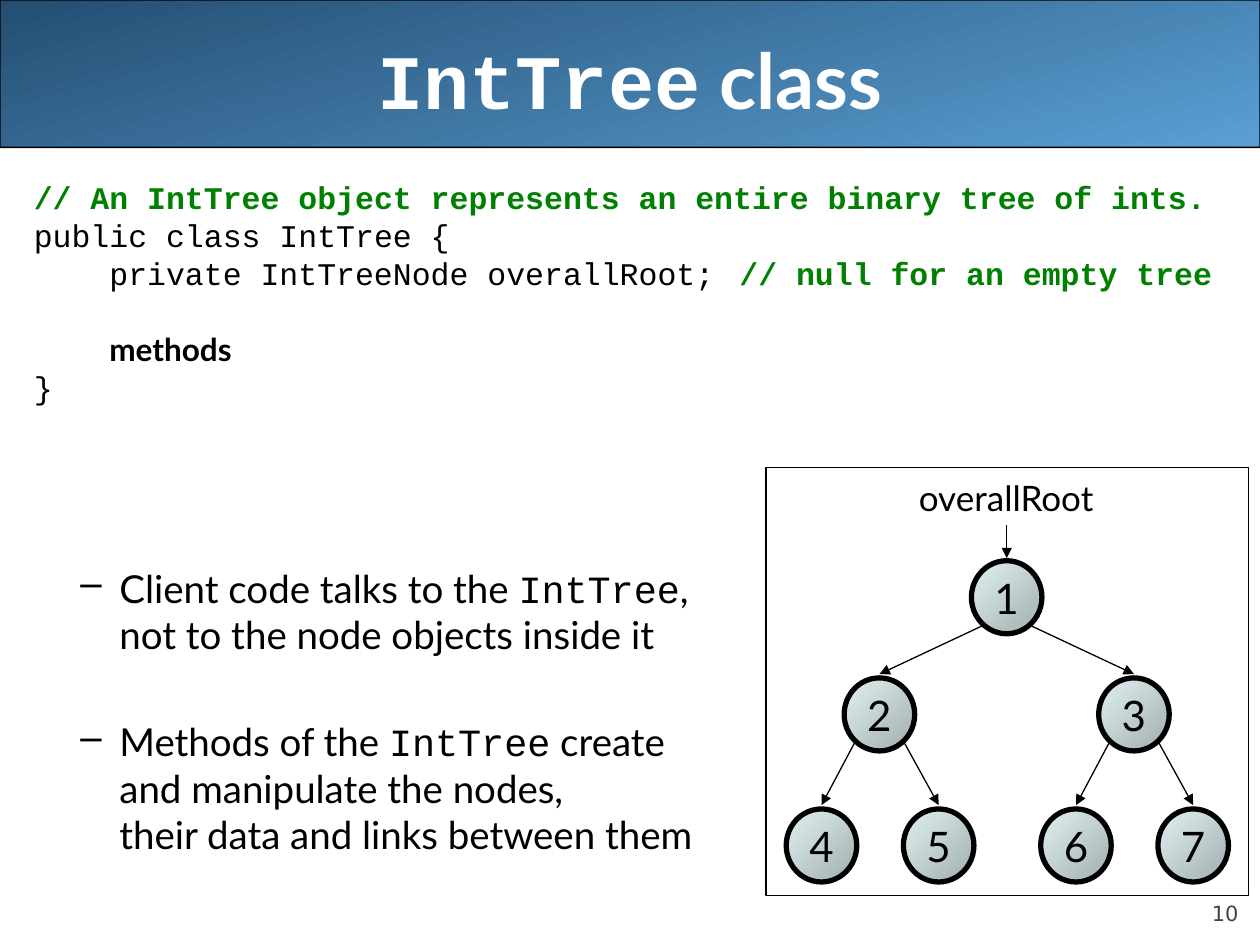
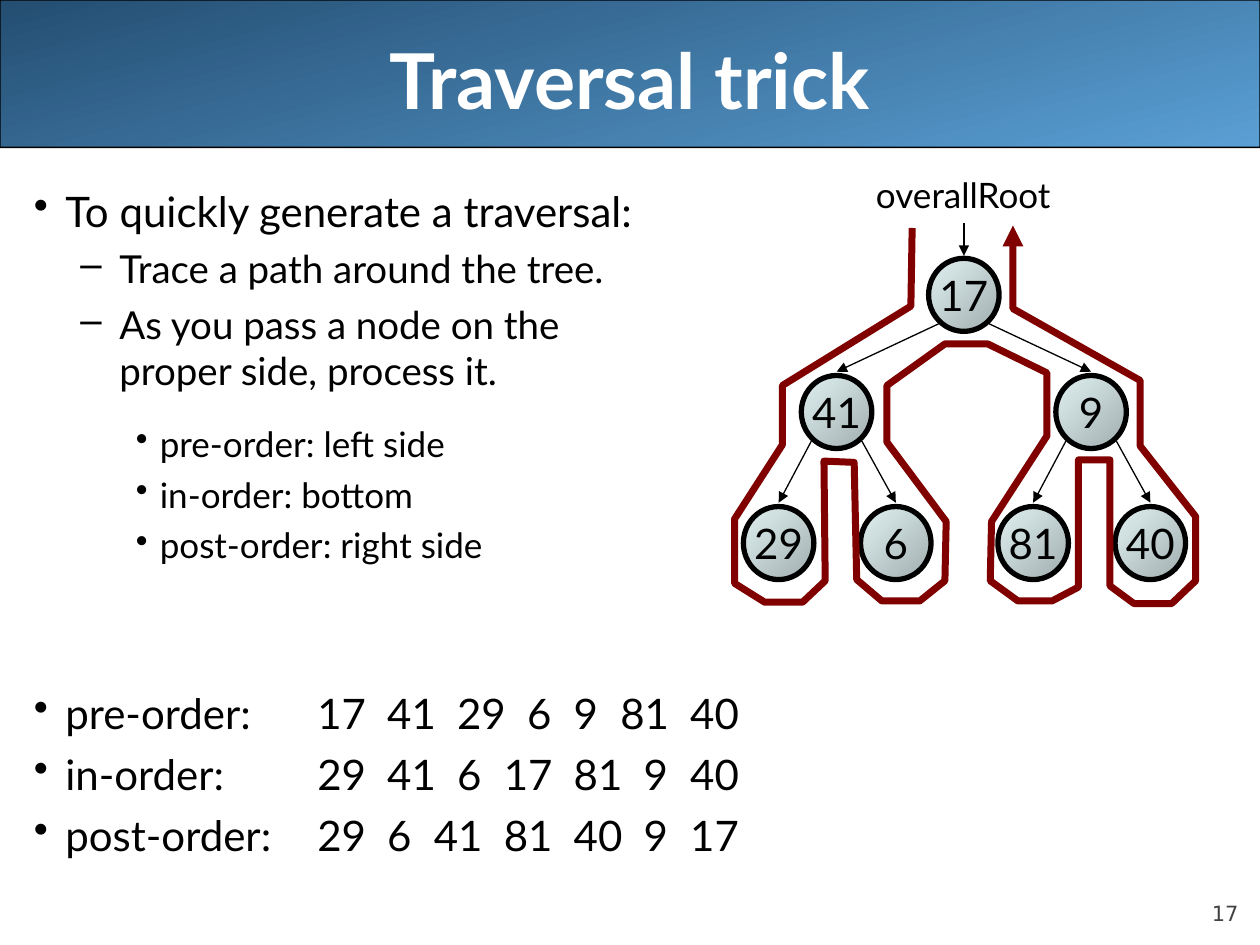
from dataclasses import dataclass
from itertools import accumulate

from lxml import etree
from pptx import Presentation
from pptx.dml.color import RGBColor
from pptx.enum.shapes import MSO_CONNECTOR, MSO_SHAPE
from pptx.enum.text import MSO_ANCHOR, PP_ALIGN
from pptx.oxml.ns import qn
from pptx.util import Inches, Pt

STRAIGHT = MSO_CONNECTOR.STRAIGHT
RECTANGLE, ROUNDED, OVAL = MSO_SHAPE.RECTANGLE, MSO_SHAPE.ROUNDED_RECTANGLE, MSO_SHAPE.OVAL
TOP, MIDDLE, BOTTOM = MSO_ANCHOR.TOP, MSO_ANCHOR.MIDDLE, MSO_ANCHOR.BOTTOM
LEFT, CENTER, RIGHT = PP_ALIGN.LEFT, PP_ALIGN.CENTER, PP_ALIGN.RIGHT


@dataclass(frozen=True)
class Theme:
    sans: str = "Lato"
    mono: str = "Courier New"
    number_font: str = "DejaVu Sans"
    black: str = "000000"
    white: str = "FFFFFF"
    gray: str = "424242"
    comment: str = "008000"
    trace: str = "800000"
    band: tuple = ("244E72", "5A9FD4")
    node: tuple = ("A1ADAE", "E1F2F3")
    title_size: int = 44
    node_size: int = 24
    label_size: int = 20
    code_size: int = 18
    number_size: int = 12
    hairline: float = 0.75
    node_line: float = 3
    trace_line: float = 4


THEME = Theme()

# Body levels: type size, left margin, first-line indent, space before, bullet
LEVELS = [
    (24, 0.25, -0.25, 6, "•"),
    (22, 0.68, -0.31, 5.5, "–"),
    (20, 1.0, -0.19, 5, "•"),
]
BODY = (0.17, 1.42, 9.83, 5.67)

# Tree geometry, measured from the centre of the root
NODE_W, NODE_H = 0.56, 0.58
BRANCH_X, BRANCH_Y = 1.01, 0.93
LEAF_X, LEAF_Y = (-0.46, 0.47), 1.04
EDGE_X, EDGE_Y, EDGE_END = 0.2, 0.23, 0.32


def assign(target, values):
    for name, value in values.items():
        setattr(target, name, value)


def span(text, **style):
    return text, style


def mono(text, **style):
    return text, {"font": THEME.mono, **style}


def remark(text):
    return mono(text, color=THEME.comment, bold=True)


def bullet(level, *spans, before=None, tabs=()):
    size, margin, indent, space, mark = LEVELS[level]
    return {"spans": spans, "size": size, "level": level, "margin": margin,
            "indent": indent, "mark": mark, "tabs": tabs,
            "before": space if before is None else before}


def code(*spans, margin=0.0, before=4.5, tabs=()):
    return {"spans": spans, "size": THEME.code_size, "margin": margin,
            "before": before, "spacing": 0.8, "tabs": tabs}


class Deck:
    def __init__(self, theme):
        self.theme = theme
        self.deck = Presentation()
        assign(self.deck, {"slide_width": Inches(10), "slide_height": Inches(7.5)})
        self.page = None

    def new_page(self, number, *title):
        """Start a page with its band, page number and title."""
        theme = self.theme
        self.page = self.deck.slides.add_slide(self.deck.slide_layouts[6])
        band = self.shape(ROUNDED, (0, 0, 10, 1.17), theme.band, 75)
        band.adjustments[0] = 0.001
        self.text((9, 6.95, 0.83, 0.4),
                  [{"spans": [span(number, font=theme.number_font, color=theme.gray)],
                    "size": theme.number_size, "align": RIGHT, "before": 5}],
                  anchor=BOTTOM, inset=0)
        heading = [(words, {**style, "bold": True, "color": theme.white})
                   for words, style in title]
        self.text((0.5, 0, 9, 1.25),
                  [{"spans": heading, "size": theme.title_size, "align": CENTER}],
                  anchor=MIDDLE)

    def outline(self, shape, color, width):
        shape.line.color.rgb = RGBColor.from_string(color)
        shape.line.width = Pt(width)

    def arrowhead(self, shape):
        line = shape._element.spPr.find(qn("a:ln"))
        etree.SubElement(line, qn("a:tailEnd"), type="triangle")

    def shape(self, kind, place, gradient=None, angle=0, width=None):
        shape = self.page.shapes.add_shape(kind, *map(Inches, place))
        shape.shadow.inherit = False
        if gradient:
            shape.fill.gradient()
            shape.fill.gradient_angle = 360 - angle
            for stop, color in zip(shape.fill.gradient_stops, gradient):
                stop.color.rgb = RGBColor.from_string(color)
        else:
            shape.fill.background()
        self.outline(shape, self.theme.black, width or self.theme.hairline)
        return shape

    def text(self, place, paragraphs, anchor=TOP, inset=None, wrap=True):
        box = self.page.shapes.add_textbox(*map(Inches, place))
        self.fill_frame(box.text_frame, paragraphs, anchor, inset, wrap)

    def fill_frame(self, frame, paragraphs, anchor, inset=None, wrap=True):
        assign(frame, {"word_wrap": wrap, "vertical_anchor": anchor})
        if inset is not None:
            assign(frame, {"margin_" + side: Inches(inset)
                           for side in ("left", "top", "right", "bottom")})
        for index, content in enumerate(paragraphs):
            para = frame.add_paragraph() if index else frame.paragraphs[0]
            self.paragraph(para, content)

    def paragraph(self, para, content):
        assign(para, {"alignment": content.get("align", LEFT),
                      "level": content.get("level", 0),
                      "space_before": Pt(content.get("before", 0)),
                      "line_spacing": content.get("spacing", 1.0)})
        settings = para._p.get_or_add_pPr()
        settings.set("marL", str(Inches(content.get("margin", 0))))
        settings.set("indent", str(Inches(content.get("indent", 0))))
        if content.get("mark"):
            tint = etree.SubElement(settings, qn("a:buClr"))
            etree.SubElement(tint, qn("a:srgbClr"), val=self.theme.black)
            etree.SubElement(settings, qn("a:buChar"), char=content["mark"])
        if content.get("tabs"):
            stops = etree.SubElement(settings, qn("a:tabLst"))
            for stop in content["tabs"]:
                etree.SubElement(stops, qn("a:tab"), pos=str(Inches(stop)), algn="l")
        for words, style in content["spans"]:
            for index, line in enumerate(words.split("\n")):
                if index:
                    para.add_line_break()
                run = para.add_run()
                run.text = line
                assign(run.font, {"name": style.get("font", self.theme.sans),
                                  "size": Pt(content["size"]),
                                  "bold": style.get("bold", False)})
                run.font.color.rgb = RGBColor.from_string(
                    style.get("color", self.theme.black))

    def arrow(self, start, end):
        line = self.page.shapes.add_connector(STRAIGHT, *map(Inches, (*start, *end)))
        self.outline(line, self.theme.black, self.theme.hairline)
        self.arrowhead(line)
        etree.SubElement(line._element.spPr, qn("a:effectLst"))

    def node(self, value, x, y):
        place = (x - NODE_W / 2, y - NODE_H / 2, NODE_W, NODE_H)
        circle = self.shape(OVAL, place, self.theme.node, 225, self.theme.node_line)
        self.fill_frame(circle.text_frame,
                        [{"spans": [span(value)], "size": self.theme.node_size,
                          "align": CENTER}], MIDDLE, wrap=False)

    def tree(self, x, y, values):
        """Draw seven values, given level by level, below the root label."""
        branches = [(x + side * BRANCH_X, y + BRANCH_Y) for side in (-1, 1)]
        leaves = [(bx + dx, by + LEAF_Y) for bx, by in branches for dx in LEAF_X]
        centers = [(x, y), *branches, *leaves]
        for value, center in zip(values, centers):
            self.node(value, *center)
        for child in range(1, len(centers)):
            parent_x, parent_y = centers[(child - 1) // 2]
            child_x, child_y = centers[child]
            side = -EDGE_X if child % 2 else EDGE_X
            self.arrow((parent_x + side, parent_y + EDGE_Y),
                       (child_x, child_y - EDGE_END))
        self.text((x - 0.85, y - 1.01, 1.69, 0.44),
                  [{"spans": [span("overallRoot")], "size": self.theme.label_size,
                    "align": CENTER}], wrap=False)
        self.arrow((x, y - 0.57), (x, y - 0.31))

    def trace(self, points):
        start, *rest = [tuple(map(Inches, point)) for point in points]
        builder = self.page.shapes.build_freeform(*start)
        builder.add_line_segments(rest, close=False)
        trail = builder.convert_to_shape()
        trail.shadow.inherit = False
        trail.fill.background()
        self.outline(trail, self.theme.trace, self.theme.trace_line)
        self.arrowhead(trail)


def class_page(deck):
    deck.new_page("10", mono("IntTree"), span(" class"))
    deck.text(BODY, [
        code(remark("// An IntTree object represents an entire binary tree of ints.")),
        code(mono("public class IntTree {")),
        code(mono("private IntTreeNode overallRoot;\t"),
             remark("// null for an empty tree"), margin=0.6, tabs=[5.85]),
        code(span("methods", bold=True), margin=0.6, before=26),
        code(mono("}")),
        bullet(1, span("Client code talks to the "), mono("IntTree"),
               span(",\nnot to the node objects inside it"), before=91),
        bullet(1, span("Methods of the "), mono("IntTree"),
               span(" create\nand manipulate the nodes,\n"
                    "their data and links between them"), before=35),
    ])
    deck.tree(7.99, 4.74, "1234567")
    deck.shape(RECTANGLE, (6.08, 3.71, 3.83, 3.4))


def order_line(name, values, before=None):
    """One bullet with its values on tab stops that follow their widths."""
    numbers = values.split()
    steps = [0.185 * (len(number) + 1) for number in numbers[:-1]]
    tabs = list(accumulate(steps, initial=2.25))
    return bullet(0, span("\t".join([name, *numbers])), before=before, tabs=tabs)


def traversal_page(deck):
    deck.new_page("17", span("Traversal trick"))
    deck.text(BODY, [
        bullet(0, span("To quickly generate a traversal:")),
        bullet(1, span("Trace a path around the tree.")),
        bullet(1, span("As you pass a node on the\nproper side, process it.")),
        bullet(2, span("pre-order: left side"), before=16.6),
        bullet(2, span("in-order: bottom")),
        bullet(2, span("post-order: right side")),
        order_line("pre-order:", "17 41 29 6 9 81 40", before=69.6),
        order_line("in-order:", "29 41 6 17 81 9 40"),
        order_line("post-order:", "29 6 41 81 40 9 17"),
    ])
    deck.tree(7.65, 2.34, ["17", "41", "9", "29", "6", "81", "40"])
    deck.trace([
        (7.24, 1.81), (7.23, 2.43), (6.21, 3.06), (6.21, 3.53),
        # around the left subtree
        (5.83, 4.12), (5.83, 4.63), (6.07, 4.78), (6.37, 4.78), (6.55, 4.61),
        (6.54, 3.66), (6.78, 3.67), (6.8, 4.6), (7, 4.77), (7.3, 4.77),
        (7.5, 4.61), (7.51, 4.14), (7.04, 3.51), (7.04, 3.06),
        # below the root
        (7.5, 2.73), (7.84, 2.73), (8.31, 2.96), (8.31, 3.46),
        # around the right subtree
        (7.87, 4.14), (7.86, 4.61), (8.08, 4.77), (8.35, 4.77), (8.56, 4.66),
        (8.56, 3.65), (8.81, 3.65), (8.81, 4.65), (9, 4.79), (9.3, 4.79),
        (9.49, 4.61), (9.49, 4.1), (9.05, 3.54), (9.05, 3.02),
        (8.04, 2.45), (8.04, 1.79),
    ])


def main():
    deck = Deck(THEME)
    class_page(deck)
    traversal_page(deck)
    deck.deck.save("out.pptx")


if __name__ == "__main__":
    main()
